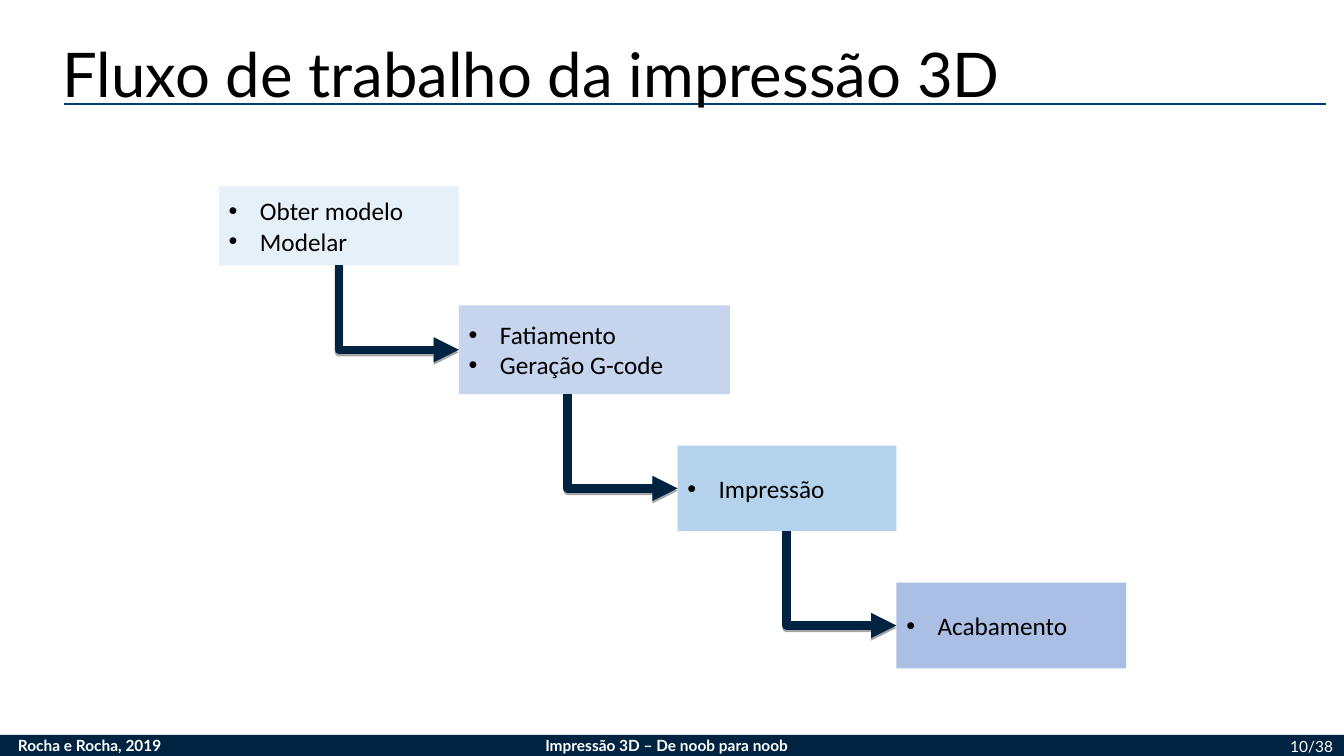
from dataclasses import dataclass
from typing import Optional

from lxml.etree import SubElement
from pptx import Presentation
from pptx.dml.color import RGBColor
from pptx.enum.shapes import MSO_CONNECTOR, MSO_SHAPE
from pptx.enum.text import MSO_ANCHOR, MSO_AUTO_SIZE, PP_ALIGN
from pptx.oxml.ns import qn
from pptx.util import Inches, Pt

COLORS = {
    "navy": "002342",
    "rule": "003D73",
    "white": "FFFFFF",
    "black": "000000",
    "model": "DEEBF7",
    "slice": "B4C7E7",
    "print": "9DC3E6",
    "finish": "8FAADC",
}


@dataclass
class Step:
    items: list[str]
    color: str
    left: float
    top: float
    width: float
    height: float
    exit_x: Optional[float] = None  # where the arrow to the next step leaves


@dataclass
class FooterText:
    text: str
    left: float
    top: float
    width: float
    bold: bool = True
    align: PP_ALIGN = PP_ALIGN.LEFT


STEPS = [
    Step(["Obter modelo", "Modelar"], "model", 2.17, 1.85, 2.38, 0.78, 3.36),
    Step(["Fatiamento", "Geração G-code"], "slice", 4.55, 3.03, 2.69, 0.88, 5.63),
    Step(["Impressão"], "print", 6.72, 4.42, 2.17, 0.85, 7.8),
    Step(["Acabamento"], "finish", 8.89, 5.78, 2.28, 0.85),
]

FOOTER = [
    FooterText("Rocha e Rocha, 2019", 0.08, 7.25, 1.67),
    FooterText("Impressão 3D – De noob para noob", 5.31, 7.25, 2.72),
    FooterText("10/38", 11.48, 7.26, 1.84, False, PP_ALIGN.RIGHT),
]


def rgb(name: str) -> RGBColor:
    return RGBColor.from_string(COLORS[name])


def add_run(paragraph, text: str, size: float, font: str, color: str, bold: bool = False) -> None:
    run = paragraph.add_run()
    run.text = text
    run.font.size = Pt(size)
    run.font.name = font
    run.font.bold = bold
    run.font.color.rgb = rgb(color)


def add_rect(slide, left: float, top: float, width: float, height: float, color: str):
    rect = slide.shapes.add_shape(
        MSO_SHAPE.RECTANGLE, Inches(left), Inches(top), Inches(width), Inches(height)
    )
    rect.shadow.inherit = False
    rect.fill.solid()
    rect.fill.fore_color.rgb = rgb(color)
    rect.line.fill.background()
    return rect


def add_footer_text(slide, item: FooterText) -> None:
    box = slide.shapes.add_textbox(
        Inches(item.left), Inches(item.top), Inches(item.width), Inches(0.27)
    )
    box.text_frame.word_wrap = True
    paragraph = box.text_frame.paragraphs[0]
    paragraph.alignment = item.align
    add_run(paragraph, item.text, 11, "Lato", "white", item.bold)


def add_bullet(paragraph) -> None:
    properties = paragraph._p.get_or_add_pPr()
    properties.set("marL", str(Inches(0.31)))
    properties.set("indent", str(-Inches(0.31)))
    bullet_color = SubElement(properties, qn("a:buClr"))
    SubElement(bullet_color, qn("a:srgbClr"), val=COLORS["black"])
    SubElement(properties, qn("a:buFont"), typeface="Arial")
    SubElement(properties, qn("a:buChar"), char="•")


def add_step(slide, step: Step) -> None:
    box = add_rect(slide, step.left, step.top, step.width, step.height, step.color)
    fill_color = box.element.spPr.find(".//" + qn("a:srgbClr"))
    SubElement(fill_color, qn("a:alpha"), val="75000")
    frame = box.text_frame
    frame.word_wrap = True
    frame.vertical_anchor = MSO_ANCHOR.MIDDLE
    for index, item in enumerate(step.items):
        paragraph = frame.add_paragraph() if index else frame.paragraphs[0]
        add_bullet(paragraph)
        paragraph.alignment = PP_ALIGN.LEFT
        add_run(paragraph, item, 18, "Calibri", "black")


def add_step_arrow(slide, start: Step, end: Step) -> None:
    from_y = start.top + start.height
    drop = end.top + end.height / 2 - from_y
    reach = end.left - start.exit_x
    center_x = start.exit_x + reach / 2
    center_y = from_y + drop / 2

    # The elbow is laid out sideways, then turned to go down and right
    arrow = slide.shapes.add_connector(
        MSO_CONNECTOR.ELBOW,
        Inches(center_x + drop / 2), Inches(center_y - reach / 2),
        Inches(center_x - drop / 2), Inches(center_y + reach / 2),
    )
    properties = arrow.element.spPr
    properties.find(qn("a:xfrm")).set("rot", str(270 * 60000))
    properties.find(qn("a:prstGeom")).set("prst", "bentConnector2")
    arrow.line.width = Pt(6)
    arrow.line.color.rgb = rgb("navy")
    SubElement(properties.find(qn("a:ln")), qn("a:tailEnd"), type="triangle")

    effects = SubElement(properties, qn("a:effectLst"))
    shadow = SubElement(
        effects, qn("a:outerShdw"),
        blurRad="0", dist=str(Pt(1.8)), dir=str(90 * 60000), rotWithShape="0",
    )
    shadow_color = SubElement(shadow, qn("a:srgbClr"), val=COLORS["black"])
    SubElement(shadow_color, qn("a:alpha"), val="35000")


def add_title(slide, text: str) -> None:
    title = slide.shapes.title
    title.left, title.top = Inches(0.52), Inches(0.04)
    title.width, title.height = Inches(11.5), Inches(1.45)
    frame = title.text_frame
    frame.word_wrap = True
    frame.auto_size = MSO_AUTO_SIZE.NONE
    frame.vertical_anchor = MSO_ANCHOR.MIDDLE
    paragraph = frame.paragraphs[0]
    paragraph.alignment = PP_ALIGN.LEFT
    paragraph.line_spacing = 0.9
    add_run(paragraph, text, 44, "Lato", "black")
    slide.shapes.element.append(title.element)  # in front of the rule


def main() -> None:
    deck = Presentation()
    deck.slide_width, deck.slide_height = Inches(13.33), Inches(7.5)
    slide = deck.slides.add_slide(deck.slide_layouts[5])

    # Footer bar
    add_rect(slide, 0, 7.29, 13.33, 0.21, "navy")
    for item in FOOTER:
        add_footer_text(slide, item)

    # Title and its rule
    rule = slide.shapes.add_connector(
        MSO_CONNECTOR.STRAIGHT, Inches(0.63), Inches(1.03), Inches(13.15), Inches(1.03)
    )
    rule.line.width = Pt(1)
    rule.line.color.rgb = rgb("rule")
    SubElement(rule.element.spPr, qn("a:effectLst"))
    add_title(slide, "Fluxo de trabalho da impressão 3D")

    # Workflow staircase
    for step in STEPS:
        add_step(slide, step)
    for start, end in zip(STEPS, STEPS[1:]):
        add_step_arrow(slide, start, end)

    deck.save("out.pptx")


if __name__ == "__main__":
    main()
